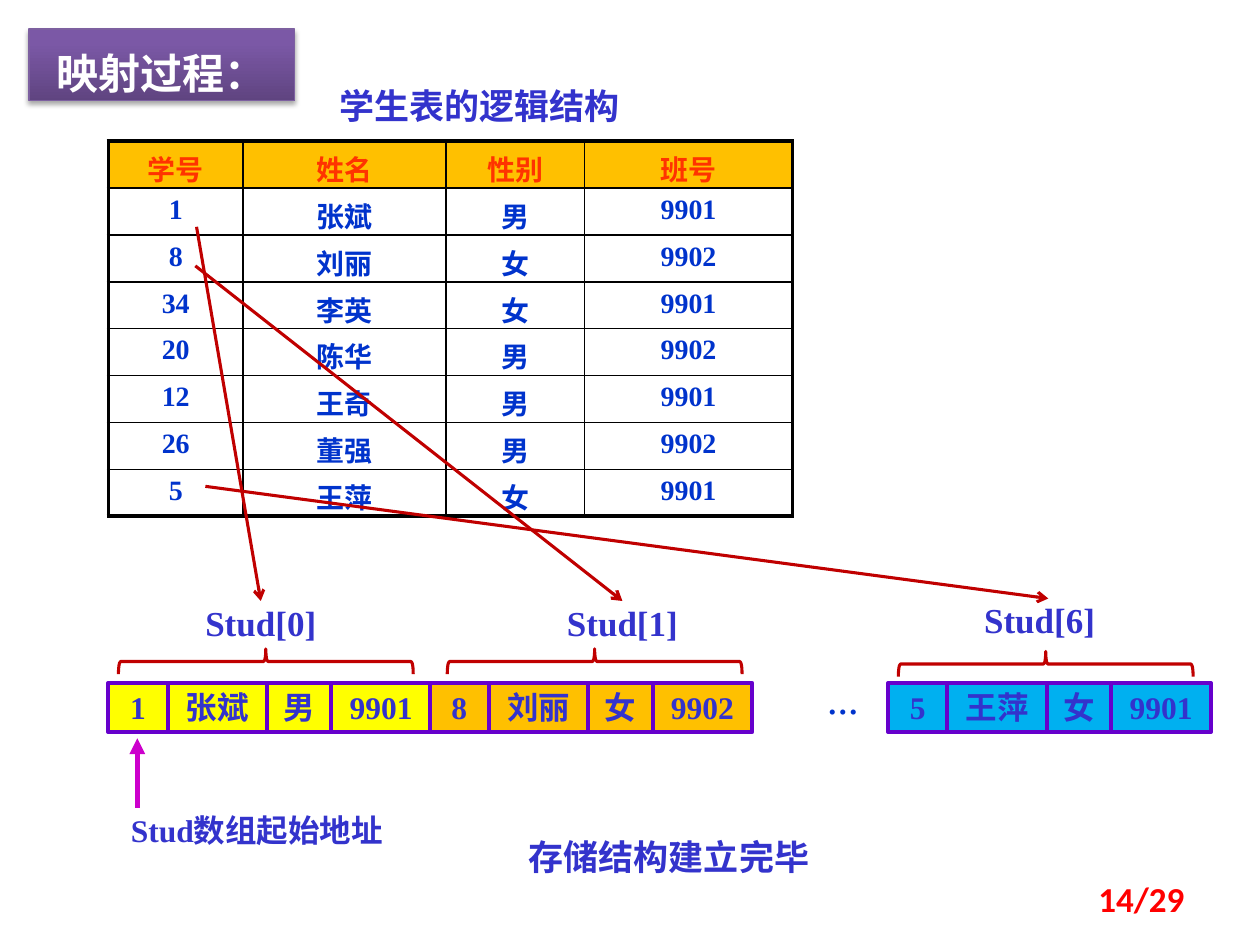
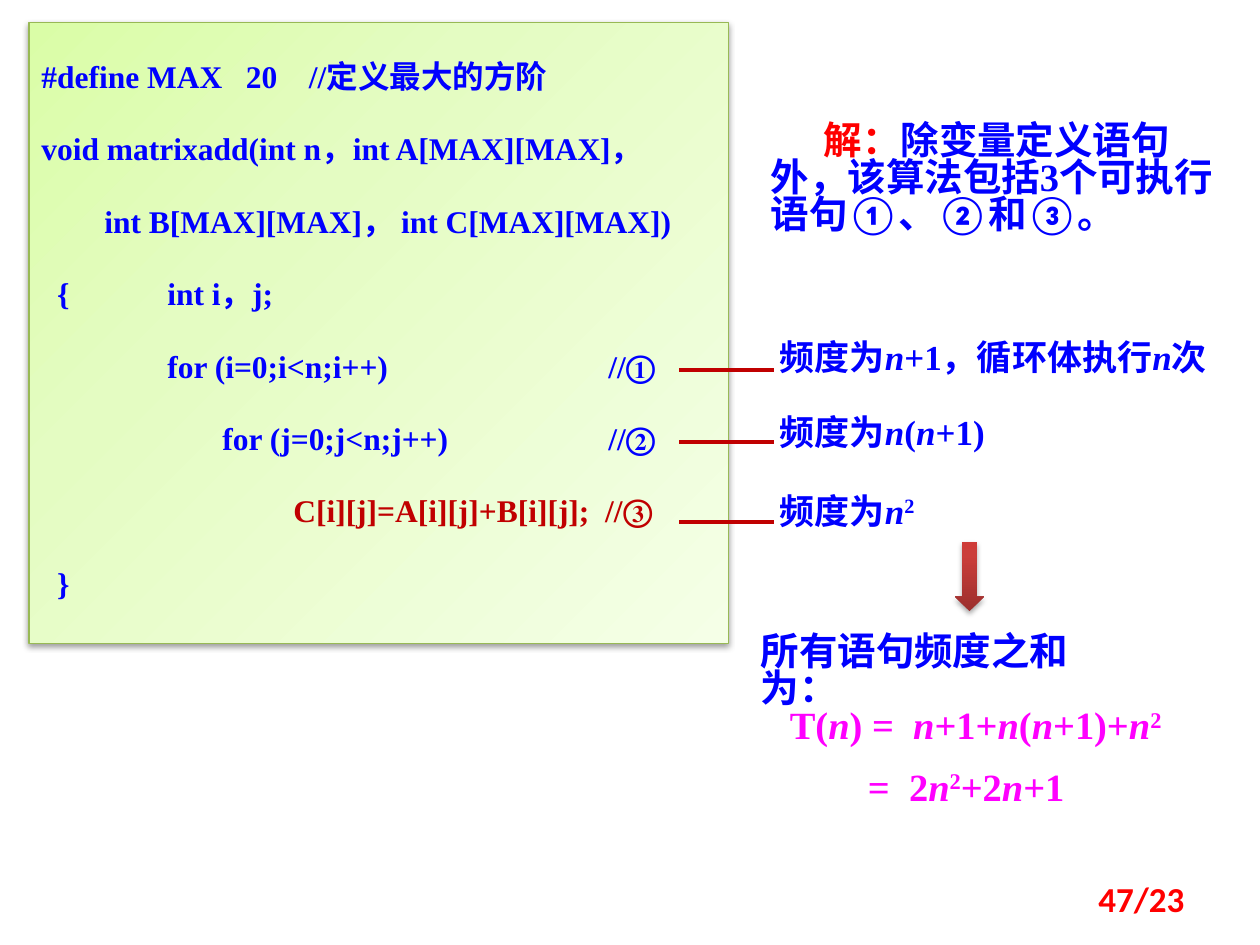
import dataclasses

import lxml.etree
import pptx
import pptx.dml.color
import pptx.enum.dml
import pptx.enum.shapes
import pptx.enum.text
import pptx.oxml.ns
import pptx.util

Inches = pptx.util.Inches
Pt = pptx.util.Pt
qn = pptx.oxml.ns.qn
SHAPE = pptx.enum.shapes.MSO_SHAPE
ALIGN = pptx.enum.text.PP_ALIGN
ANCHOR = pptx.enum.text.MSO_ANCHOR


@dataclasses.dataclass(frozen=True)
class Theme:
    font: str = "Times New Roman"
    east_asian_font: str = "Calibri"
    symbol_font: str = "Noto Sans CJK SC"
    footer_font: str = "Calibri"
    white: str = "FFFFFF"
    black: str = "000000"
    indigo: str = "3333CC"
    cell_blue: str = "0033CC"
    code_blue: str = "0000FF"
    header_red: str = "FF3300"
    footer_red: str = "FF0000"
    dark_red: str = "C00000"
    magenta: str = "FF00FF"
    pointer: str = "CC00CC"
    violet: str = "6600CC"
    yellow: str = "FFFF00"
    orange: str = "FFC000"
    sky: str = "00B0F0"
    title_line: str = "7D60A0"
    code_line: str = "98B955"
    title_gradient: tuple = ((0, "5F4480"), (80, "7B58A6"), (100, "7C57A8"))
    code_gradient: tuple = ((0, "DAFDA7"), (35, "E4FCC2"), (100, "F5FFE7"))
    arrow_gradient: tuple = ((0, "9C2F2D"), (80, "CB3E3A"), (100, "CE3B37"))
    title_size: int = 24
    emphasis_size: int = 22
    label_size: int = 20
    body_size: int = 18
    table_size: int = 16


THEME = Theme()


def rgb(color):
    return pptx.dml.color.RGBColor.from_string(color)


def child(parent, tag, **attributes):
    values = {name: str(value) for name, value in attributes.items()}
    return lxml.etree.SubElement(parent, qn(tag), values)


def write_text(frame, text, size=THEME.body_size, color=THEME.indigo, font=THEME.font,
               east_asian=THEME.east_asian_font, align=ALIGN.LEFT, anchor=ANCHOR.TOP,
               spacing=None, before=0, indents=(), margins=(0.1, 0.05, 0.1, 0.05)):
    paragraphs = [[(text, {})]] if isinstance(text, str) else text
    frame.word_wrap = True
    frame.auto_size = pptx.enum.text.MSO_AUTO_SIZE.NONE
    frame.vertical_anchor = anchor
    frame.margin_left, frame.margin_top, frame.margin_right, frame.margin_bottom = map(Inches, margins)
    for index, runs in enumerate(paragraphs):
        paragraph = frame.add_paragraph() if index else frame.paragraphs[0]
        paragraph.alignment = align
        if spacing:
            paragraph.line_spacing = spacing
        paragraph.space_before = Pt(before if index else 0)
        paragraph_properties = paragraph._p.get_or_add_pPr()
        paragraph_properties.set("hangingPunct", "0")
        paragraph_properties.set("defTabSz", str(Inches(1)))
        if indents:
            paragraph_properties.set("marL", "0")
            paragraph_properties.set("indent", str(Inches(indents[index])))
        for words, changes in runs:
            run = paragraph.add_run()
            run.text = words
            run.font.name = font
            run.font.size = Pt(size)
            run.font.bold = True
            run.font.italic = changes.get("italic", False)
            run.font.color.rgb = rgb(changes.get("color", color))
            properties = run._r.get_or_add_rPr()
            properties.set("lang", "zh-CN")
            child(properties, "a:ea", typeface=east_asian)
            if changes.get("raised"):
                properties.set("baseline", "30000")


def add_text(slide, box, text, **text_format):
    text_box = slide.shapes.add_textbox(*map(Inches, box))
    write_text(text_box.text_frame, text, **text_format)
    return text_box


def math_runs(marked):
    styles = {"_": {"italic": True}, "^": {"raised": True}}
    return [(part.lstrip("_^"), styles.get(part[0], {})) for part in marked.split("|")]


def add_shape(slide, kind, box, fill=None, line=None, width=1):
    shape = slide.shapes.add_shape(kind, *map(Inches, box))
    shape.shadow.inherit = False
    paint(shape, fill, line, width)
    return shape


def paint(shape, fill, line, width):
    if fill:
        shape.fill.solid()
        shape.fill.fore_color.rgb = rgb(fill)
    else:
        shape.fill.background()
    if line:
        shape.line.color.rgb = rgb(line)
        shape.line.width = Pt(width)
    else:
        shape.line.fill.background()


def add_gradient(shape, stops, angle):
    shape.fill.gradient()
    gradient = shape._element.spPr.find(qn("a:gradFill"))
    stop_list = gradient.find(qn("a:gsLst"))
    for stop in list(stop_list):
        stop_list.remove(stop)
    for position, color in stops:
        child(child(stop_list, "a:gs", pos=position * 1000), "a:srgbClr", val=color)
    gradient.find(qn("a:lin")).set("ang", str(angle * 60000))


def add_shadow(shape, alpha=35, distance=1.8):
    shape.shadow.inherit = False
    effects = shape._element.spPr.find(qn("a:effectLst"))
    shadow = child(effects, "a:outerShdw", blurRad=Pt(3.1), dist=Pt(distance),
                   dir=90 * 60000, rotWithShape=0)
    child(child(shadow, "a:srgbClr", val=THEME.black), "a:alpha", val=alpha * 1000)


def add_line(slide, start, end, color=THEME.dark_red, width=1.75, tail=None, target=None):
    line = slide.shapes.add_connector(pptx.enum.shapes.MSO_CONNECTOR.STRAIGHT,
                                      *map(Inches, start + end))
    line.line.color.rgb = rgb(color)
    line.line.width = Pt(width)
    if tail:
        child(line.line._get_or_add_ln(), "a:tailEnd", type=tail)
    child(line._element.spPr, "a:effectLst")
    if target is not None:
        line.end_connect(target, 0)


def add_page_number(slide, text):
    add_text(slide, (7.17, 6.93, 2.33, 0.4), text, size=THEME.label_size, color=THEME.footer_red,
             font=THEME.footer_font, align=ALIGN.RIGHT, anchor=ANCHOR.MIDDLE)


def add_title(slide, box, text):
    title = slide.shapes.title
    title.left, title.top, title.width, title.height = map(Inches, box)
    paint(title, THEME.white, THEME.title_line, 0.75)
    add_gradient(title, THEME.title_gradient, 270)
    add_shadow(title)
    write_text(title.text_frame, text, size=THEME.title_size, color=THEME.white,
               align=ALIGN.CENTER, anchor=ANCHOR.MIDDLE, spacing=1.3)


def set_borders(cell, widths):
    properties = cell._tc.get_or_add_tcPr()
    for index, (side, width) in enumerate(zip("LRTB", widths)):
        border = child(properties, f"a:ln{side}", w=Pt(width))
        child(child(border, "a:solidFill"), "a:srgbClr", val=THEME.black)
        properties.insert(index, border)


def add_student_table(slide, box, students):
    rows = [("学号", "姓名", "性别", "班号"), *students]
    last_row, last_column = len(rows) - 1, len(rows[0]) - 1
    frame = slide.shapes.add_table(len(rows), len(rows[0]), *map(Inches, box))
    table = frame.table
    table.first_row = table.horz_banding = False
    for column, width in zip(table.columns, (1.07, 1.61, 1.1, 1.65)):
        column.width = Inches(width)
    for row_index, values in enumerate(rows):
        table.rows[row_index].height = Inches(box[3] / len(rows))
        for column_index, value in enumerate(values):
            cell = table.cell(row_index, column_index)
            header = row_index == 0
            top = 0.05 if value.isdigit() else 0.1
            write_text(cell.text_frame, value, size=THEME.table_size, align=ALIGN.CENTER,
                       color=THEME.header_red if header else THEME.cell_blue)
            cell.vertical_anchor = ANCHOR.TOP
            cell.margin_left = cell.margin_right = Inches(0.1)
            cell.margin_top, cell.margin_bottom = Inches(top), 0
            if header:
                cell.fill.solid()
                cell.fill.fore_color.rgb = rgb(THEME.orange)
            else:
                cell.fill.background()
            outer = (column_index == 0, column_index == last_column, header, row_index == last_row)
            set_borders(cell, [2.25 if edge else 1 for edge in outer])


def add_record(slide, left, top, name, student, fill, label_offset, brace_offset, drop=0):
    label = add_text(slide, (left + label_offset, top - drop, 1.02, 0.34), name,
                     size=THEME.label_size, align=ALIGN.CENTER if drop == 0 else ALIGN.LEFT,
                     margins=(0, 0, 0, 0))
    cell_left = left
    for value, width in zip(student, (0.47, 0.79, 0.51, 0.79)):
        cell = add_shape(slide, SHAPE.RECTANGLE, (cell_left, top + 0.65, width, 0.39),
                         fill, THEME.violet, 2.25)
        write_text(cell.text_frame, value, align=ALIGN.CENTER, anchor=ANCHOR.MIDDLE,
                   spacing=0.8, margins=(0, 0.04, 0, 0))
        cell_left += width
    thickness, span = 0.2, 2.34
    center_left, center_top = left + brace_offset, top + 0.48 + drop
    brace = add_shape(slide, SHAPE.RIGHT_BRACE,
                      (center_left - thickness / 2, center_top - span / 2, thickness, span),
                      None, THEME.dark_red, 1.75)
    brace.rotation = 270
    return label


def build_mapping_slide(presentation):
    slide = presentation.slides.add_slide(presentation.slide_layouts[5])
    students = [("1", "张斌", "男", "9901"), ("8", "刘丽", "女", "9902"),
                ("34", "李英", "女", "9901"), ("20", "陈华", "男", "9902"),
                ("12", "王奇", "男", "9901"), ("26", "董强", "男", "9902"),
                ("5", "王萍", "女", "9901")]
    add_title(slide, (0.23, 0.23, 2.11, 0.57), "映射过程：")
    add_line(slide, (1.09, 6.41), (1.09, 5.86), THEME.pointer, 3, "triangle")
    add_text(slide, (0.94, 6.39, 2.34, 0.4), "Stud数组起始地址")
    add_text(slide, (6.42, 5.5, 0.55, 0.31), "…", color=THEME.cell_blue, font=THEME.symbol_font,
             east_asian=THEME.symbol_font, align=ALIGN.CENTER, margins=(0, 0, 0, 0))
    add_student_table(slide, (0.86, 1.12, 5.43, 2.94), students)
    for box, caption in (((3.98, 6.48, 2.66, 0.54), "存储结构建立完毕"),
                         ((2.44, 0.52, 2.73, 0.54), "学生表的逻辑结构")):
        add_text(slide, box, caption, size=THEME.label_size, align=ALIGN.CENTER, spacing=1.3)
    records = [(0.86, 0, THEME.yellow, 0.7, 1.25, 0, (1.56, 1.8)),
               (3.41, 1, THEME.orange, 1.02, 1.31, 0, (1.55, 2.11)),
               (7.05, 6, THEME.sky, 0.76, 1.25, 0.02, (1.63, 3.86))]
    for left, index, fill, label_offset, brace_offset, drop, start in records:
        label = add_record(slide, left, 4.77, f"Stud[{index}]", students[index], fill,
                           label_offset, brace_offset, drop)
        add_line(slide, start, (left + label_offset + 0.51, 4.77 - drop), tail="arrow", target=label)
    add_page_number(slide, "14/29")


def add_code(slide, box):
    code = ["#define MAX   20    //定义最大的方阶",
            "void matrixadd(int n，int A[MAX][MAX]，",
            "        int B[MAX][MAX]， int C[MAX][MAX])",
            "  {\tint i，j;",
            "   \tfor (i=0;i<n;i++)\t\t        //①",
            "\t       for (j=0;j<n;j++)\t        //②",
            "\t\tC[i][j]=A[i][j]+B[i][j];  //③",
            "  }"]
    panel = add_shape(slide, SHAPE.RECTANGLE, box, THEME.white, THEME.code_line, 0.75)
    add_gradient(panel, THEME.code_gradient, 45)
    add_shadow(panel, 38, 1.6)
    paragraphs = [[(line, {"color": THEME.dark_red} if "③" in line else {})] for line in code]
    write_text(panel.text_frame, paragraphs, color=THEME.code_blue, align=ALIGN.JUSTIFY,
               spacing=1.5, before=9, margins=(0.1, 0.12, 0.1, 0.12))


def add_frequency(slide, left, top, width, line_top, marked):
    add_text(slide, (left, top, width, 0.47), [math_runs(marked)], size=THEME.label_size,
             color=THEME.code_blue, spacing=0.8)
    add_line(slide, (left - 0.7, line_top), (left + 0.05, line_top), width=2.25)


def add_total(slide, left, top):
    add_text(slide, (left, top + 0.7, 2.97, 0.51), "所有语句频度之和为：",
             size=THEME.emphasis_size, color=THEME.code_blue, spacing=0.8)
    formulas = ["T(|_n|) = |_ n|+1+|_n|(|_n|+1)+|_n|^2", "=  2|_n|^2|+2|_n|+1"]
    add_text(slide, (left + 0.15, top + 1.25, 3.75, 0.96), [math_runs(line) for line in formulas],
             size=THEME.emphasis_size, color=THEME.magenta, spacing=Pt(24), before=11,
             indents=(0.08, 0.7))
    arrow = add_shape(slide, SHAPE.DOWN_ARROW, (left + 1.64, top, 0.23, 0.55), THEME.dark_red)
    add_gradient(arrow, THEME.arrow_gradient, 270)
    add_shadow(arrow)


def build_frequency_slide(presentation):
    slide = presentation.slides.add_slide(presentation.slide_layouts[6])
    add_code(slide, (0.23, 0.18, 5.55, 4.93))
    answer = [("解：", {"color": THEME.footer_red}),
              ("除变量定义语句外，该算法包括3个可执行语句①、②和③。", {})]
    add_text(slide, (6.02, 0.94, 3.83, 1.32), [answer], size=THEME.emphasis_size,
             color=THEME.code_blue, spacing=0.8, indents=(0.42,))
    for top, width, line_top, marked in (
            (2.68, 3.83, 2.94, "频度为|_n|+1，循环体执行|_n|次"),
            (3.27, 2.27, 3.51, "频度为|_n|(|_n|+1)"),
            (3.9, 1.8, 4.14, "频度为|_n|^2")):
        add_frequency(slide, 6.09, top, width, line_top, marked)
    add_total(slide, 5.94, 4.3)
    add_page_number(slide, "47/23")


def main():
    presentation = pptx.Presentation()
    presentation.slide_width = Inches(10)
    presentation.slide_height = Inches(7.5)
    build_mapping_slide(presentation)
    build_frequency_slide(presentation)
    presentation.save("out.pptx")


if __name__ == "__main__":
    main()
